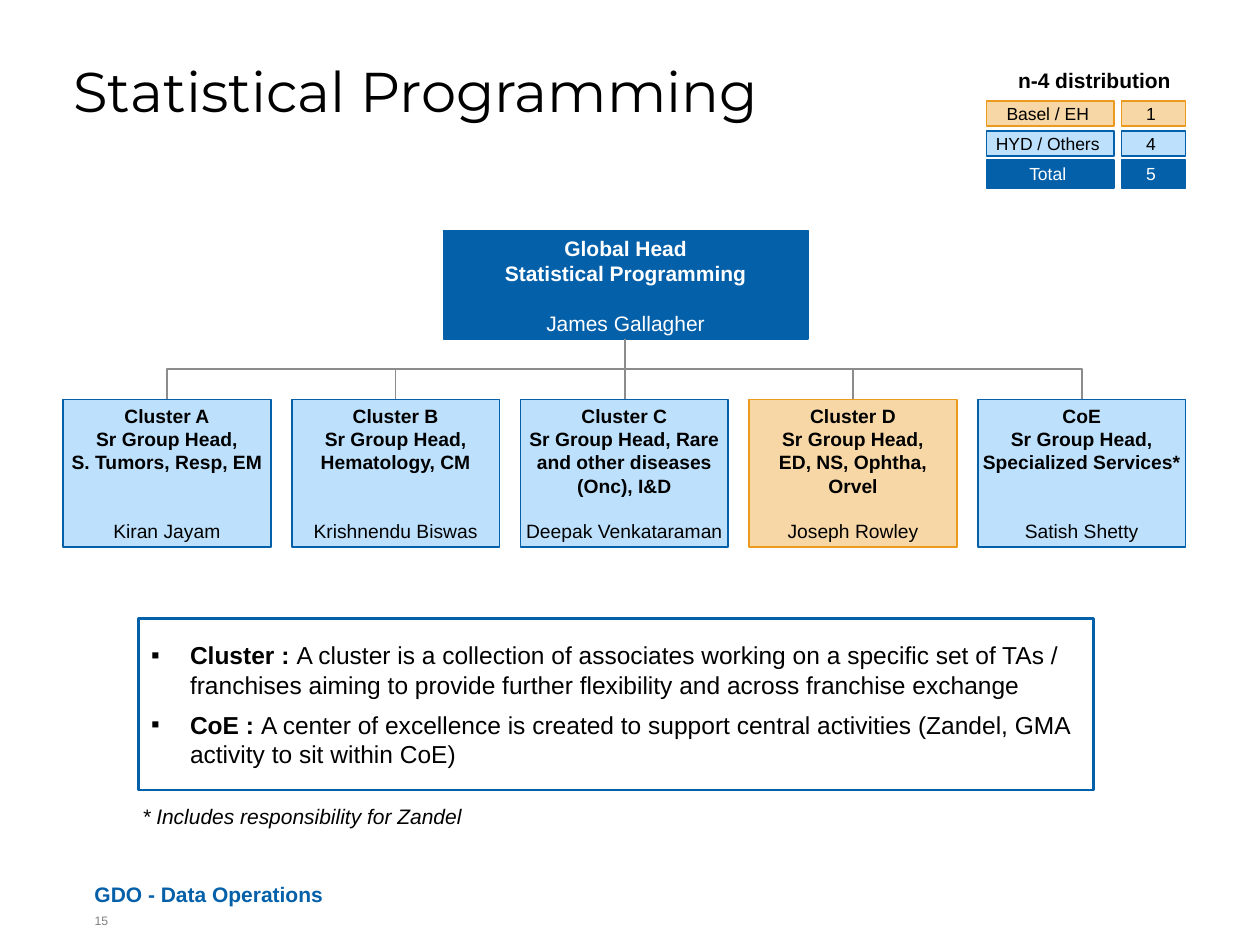
"""Build the Statistical Programming organisation chart slide."""
from lxml.etree import SubElement
from pptx import Presentation
from pptx.dml.color import RGBColor
from pptx.enum.shapes import MSO_CONNECTOR as Link, MSO_SHAPE as Shape
from pptx.enum.text import MSO_ANCHOR as Anchor, PP_ALIGN as Align
from pptx.oxml.ns import qn
from pptx.util import Inches, Pt

hue = RGBColor.from_string
BLUE, PALE, SAND, GOLD = "0460A9", "BDE1FD", "F7D7A5", "EC9A1E"

deck = Presentation()
deck.slide_width, deck.slide_height = Inches(10), Inches(7.5)
slide = deck.slides.add_slide(deck.slide_layouts[5])
shapes = slide.shapes


def write(frame, lines, size, color="000000", bold=False, align=Align.LEFT,
          pads=(0, 0, 0, 0), anchor=Anchor.TOP):
    """Fill a text frame with equally styled lines and return its paragraphs."""
    frame.word_wrap = True
    frame.vertical_anchor = anchor
    (frame.margin_left, frame.margin_top,
     frame.margin_right, frame.margin_bottom) = map(Inches, pads)
    for i, line in enumerate(lines):
        par = frame.add_paragraph() if i else frame.paragraphs[0]
        par.text, par.alignment = line, align
        font = par.font
        font.name, font.size, font.bold = "Arial", Pt(size), bold
        font.color.rgb = hue(color)
    return frame.paragraphs


def block(x, y, w, h, fill, edge, width=1):
    """Add a filled and outlined rectangle and return its text frame."""
    rect = shapes.add_shape(Shape.RECTANGLE, *map(Inches, (x, y, w, h)))
    rect.shadow.inherit = False
    rect.fill.solid()
    rect.fill.fore_color.rgb = hue(fill)
    rect.line.color.rgb = hue(edge)
    rect.line.width = Pt(width)
    return rect.text_frame


title = shapes.title
title.left, title.top, title.width, title.height = map(Inches, (0.58, 0.49, 8.5, 1.05))
head = write(title.text_frame, ["Statistical Programming"], 32)[0]
head.font.name, head.line_spacing = "Montserrat", 0.95

labels = [
    (0.75, 6.95, 6.5, 0.25, "GDO - Data Operations", 12, BLUE, True, False, Anchor.BOTTOM),
    (8.08, 0.54, 1.4, 0.2, "n-4 distribution", 12, "000000", True, False, Anchor.TOP),
    (1.13, 6.38, 6.66, 0.2, "* Includes responsibility for Zandel", 12, "000000",
     False, True, Anchor.MIDDLE),
    (0.75, 7.25, 0.25, 0.25, "15", 7, "7F7F7F", False, False, Anchor.TOP),
]
for x, y, w, h, text, size, color, bold, slant, anchor in labels:
    frame = shapes.add_textbox(*map(Inches, (x, y, w, h))).text_frame
    par = write(frame, [text], size, color, bold, anchor=anchor)[0]
    par.font.italic = slant

counts = [
    (0.8, 0.2, "Basel / EH", "1", SAND, GOLD, "000000"),
    (1.04, 0.2, "HYD / Others", "4", PALE, BLUE, "000000"),
    (1.27, 0.22, "Total", "5", BLUE, BLUE, "FFFFFF"),
]
for y, h, name, count, fill, edge, color in counts:
    for x, w, text in ((7.83, 1.01, name), (8.9, 0.51, count)):
        write(block(x, y, w, h, fill, edge), [text], 10, color, align=Align.CENTER,
              pads=(0, 0, 0.04, 0), anchor=Anchor.MIDDLE)

LEFT, STEP, WIDE, TOP, TALL = 0.5, 1.815, 1.65, 3.17, 1.17
staff = [(3.52, 1.83, 2.89, 0.86, BLUE, BLUE, 12, "FFFFFF", 14,
          ["Global Head", "Statistical Programming", "James Gallagher"])]
groups = [
    (26, ["Cluster A", "Sr Group Head,", "S. Tumors, Resp, EM", "Kiran Jayam"]),
    (26, ["Cluster B", "Sr Group Head,", "Hematology, CM", "Krishnendu Biswas"]),
    (13, ["Cluster C", "Sr Group Head, Rare and other diseases (Onc), I&D",
          "Deepak Venkataraman"]),
    (13, ["Cluster D", "Sr Group Head,", "ED, NS, Ophtha, Orvel", "Joseph Rowley"]),
    (26, ["CoE", "Sr Group Head,", "Specialized Services*", "Satish Shetty"]),
]
for i, (gap, lines) in enumerate(groups):
    fill, edge = (SAND, GOLD) if i == 3 else (PALE, BLUE)
    staff.append((LEFT + i * STEP, TOP, WIDE, TALL, fill, edge, 11, "000000", gap, lines))
for x, y, w, h, fill, edge, size, color, gap, lines in staff:
    pars = write(block(x, y, w, h, fill, edge), lines, size, color, True,
                 Align.CENTER, (0.04,) * 4)
    pars[-1].font.bold = False
    pars[-1].space_before = Pt(gap)

MID, BASE = 4.96, 2.69
drop = TOP - BASE
for i in range(len(groups)):
    end = LEFT + WIDE / 2 + i * STEP
    x, y = (MID + end) / 2, (BASE + TOP) / 2
    reach = abs(end - MID) / 2 if i != 2 else 0
    side = -1 if i > 2 else 1
    half = side * drop / 2
    wire = shapes.add_connector(
        Link.ELBOW, *map(Inches, (x - half, y - reach, x + half, y + reach)))
    wire.line.color.rgb = hue("8C8C8C")
    wire.line.width = Pt(1)
    props = wire._element.spPr
    props.xfrm.set("rot", str((90 if side > 0 else 270) * 60000))
    SubElement(props, qn("a:effectLst"))

notes = [
    ("Cluster : ", "A cluster is a collection of associates working on a specific set of "
     "TAs / franchises aiming to provide further flexibility and across franchise exchange"),
    ("CoE : ", "A center of excellence is created to support central activities "
     "(Zandel, GMA activity to sit within CoE)"),
]
frame = block(1.1, 4.91, 7.58, 1.36, "FFFFFF", BLUE, 1.5)
pars = write(frame, [term for term, _ in notes], 14, pads=(0.1, 0.05, 0.1, 0.05),
             anchor=Anchor.MIDDLE)
for par, (_, text) in zip(pars, notes):
    par.runs[0].font.bold = True
    par.add_run().text = text
    par.space_after = Pt(6)
    props = par._p.get_or_add_pPr()
    props.set("marL", str(Inches(0.31)))
    props.set("indent", str(Inches(-0.31)))
    SubElement(props, qn("a:buFont"), typeface="Arial")
    SubElement(props, qn("a:buChar"), char="▪")
    props.append(props.find(qn("a:defRPr")))

deck.save("out.pptx")
